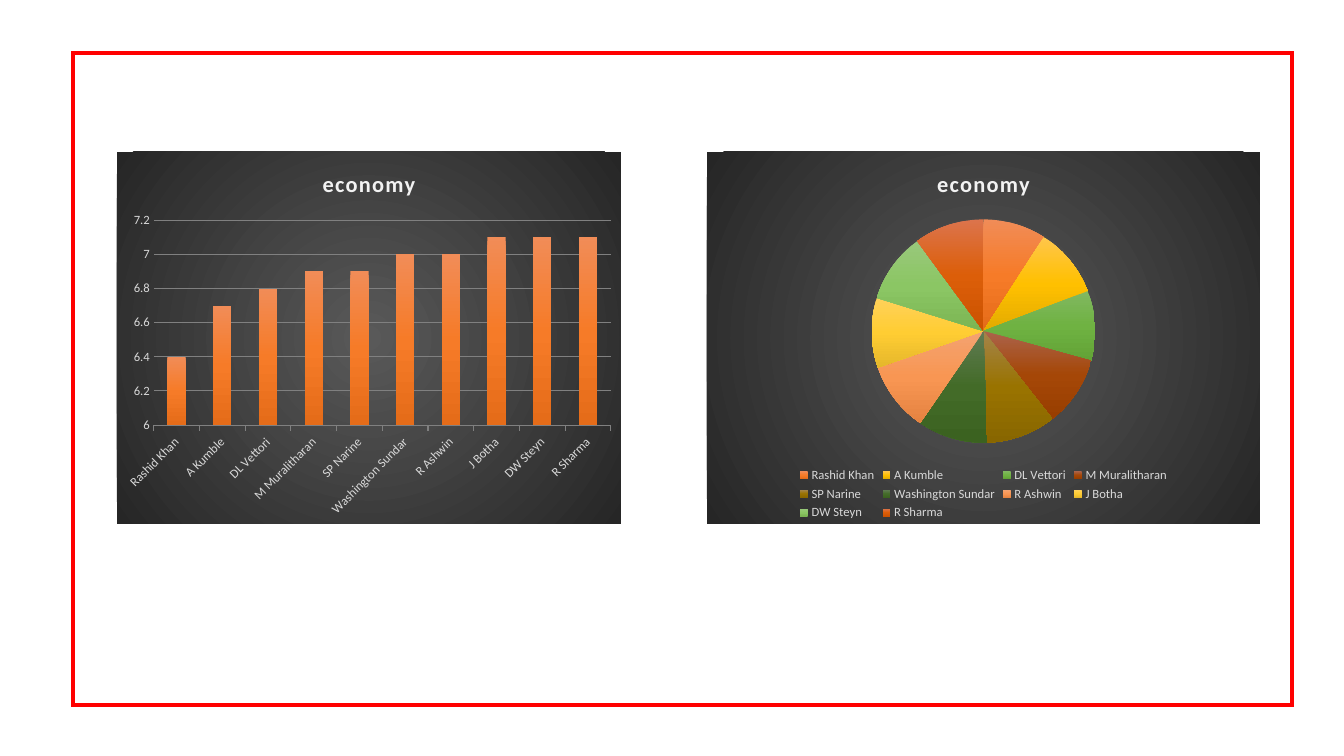
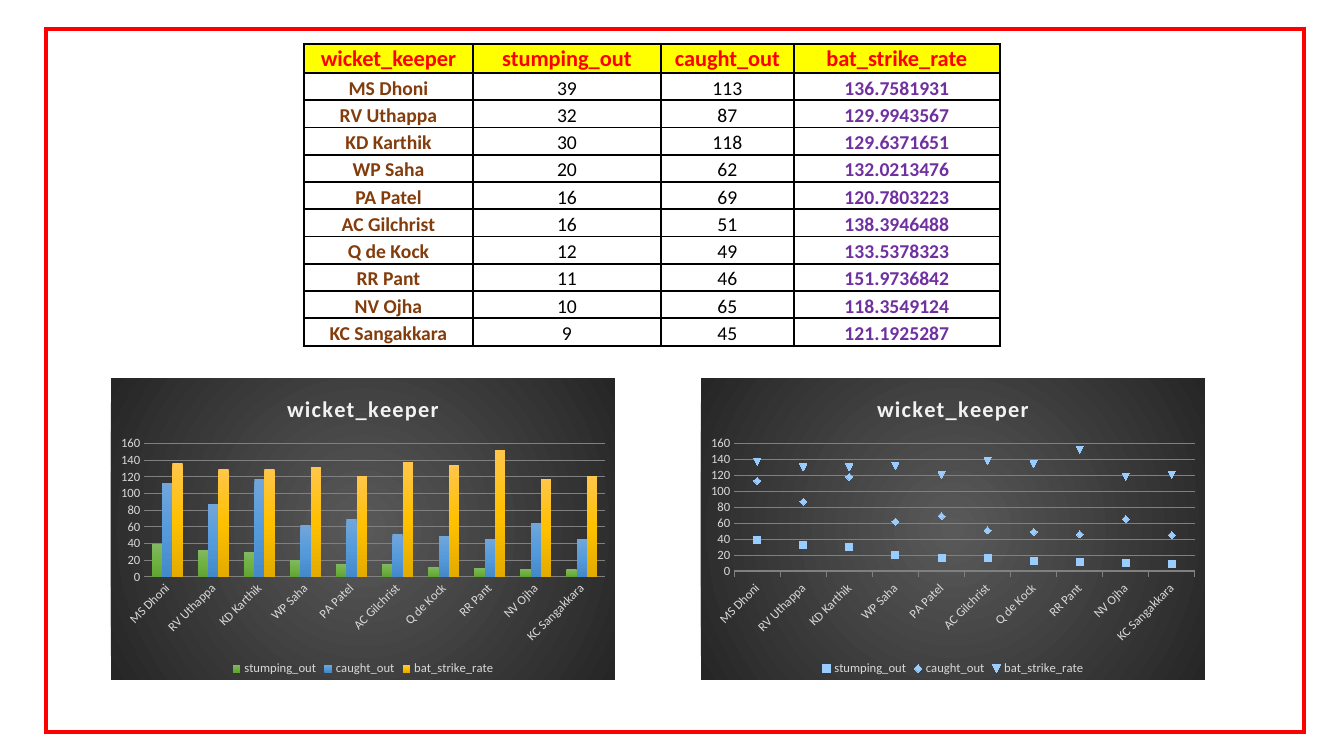
from lxml.etree import SubElement
from pptx import Presentation
from pptx.chart.data import CategoryChartData
from pptx.dml.color import RGBColor
from pptx.enum.chart import XL_CHART_TYPE as ChartType
from pptx.enum.chart import XL_LEGEND_POSITION as LegendPlace
from pptx.enum.chart import XL_MARKER_STYLE as Marker
from pptx.enum.chart import XL_TICK_MARK as Tick
from pptx.enum.shapes import MSO_SHAPE as Shape
from pptx.enum.text import MSO_ANCHOR as Anchor
from pptx.enum.text import PP_ALIGN as Align
from pptx.oxml import parse_xml
from pptx.oxml.ns import nsdecls, qn
from pptx.util import Pt

# Shared look
SCALE = 914400 / 100.8  # EMU in one px
FONT = "Calibri"
COLORS = {
    "frame": "FF0000", "head_fill": "FFFF00", "head_text": "FF0000",
    "name": "833C0C", "number": "000000", "rate": "7030A0", "border": "000000",
    "chart_title": "F2F2F2", "chart_text": "D9D9D9", "grid": "808080",
    "marker": "99CCFF", "glow": "595959", "edge": "262626",
}
# Top, middle and bottom colour of each gradient
GRADIENTS = {
    "orange": ("F18C57", "F67B28", "E56C19"),
    "gold": ("FFC64B", "FFC000", "E3AB00"),
    "green": ("81B861", "6FB242", "62A336"),
    "brown": ("AB634B", "A54707", "983E00"),
    "olive": ("A4844B", "997300", "886600"),
    "forest": ("607B53", "436B28", "3B6220"),
    "peach": ("F4A371", "F89653", "E58341"),
    "yellow": ("FFD15A", "FFCD33", "E5B72B"),
    "lime": ("99C87B", "8BC664", "7BB553"),
    "rust": ("DC744C", "DC5E09", "CB5200"),
    "blue": ("71A6DB", "559BDB", "448ACA"),
}
PIE_COLORS = ["orange", "gold", "green", "brown", "olive",
              "forest", "peach", "yellow", "lime", "rust"]
KEEPER_COLORS = ["green", "blue", "gold"]

# Content
ECONOMY = {
    "Rashid Khan": 6.4, "A Kumble": 6.7, "DL Vettori": 6.8,
    "M Muralitharan": 6.9, "SP Narine": 6.9, "Washington Sundar": 7,
    "R Ashwin": 7, "J Botha": 7.1, "DW Steyn": 7.1, "R Sharma": 7.1,
}
KEEPER_HEAD = ("wicket_keeper", "stumping_out", "caught_out", "bat_strike_rate")
KEEPERS = [
    ("MS Dhoni", 39, 113, 136.7581931),
    ("RV Uthappa", 32, 87, 129.9943567),
    ("KD Karthik", 30, 118, 129.6371651),
    ("WP Saha", 20, 62, 132.0213476),
    ("PA Patel", 16, 69, 120.7803223),
    ("AC Gilchrist", 16, 51, 138.3946488),
    ("Q de Kock", 12, 49, 133.5378323),
    ("RR Pant", 11, 46, 151.9736842),
    ("NV Ojha", 10, 65, 118.3549124),
    ("KC Sangakkara", 9, 45, 121.1925287),
]


def px(length):
    return round(length * SCALE)


def place(*lengths):
    return [px(length) for length in lengths]


def rgb(name):
    return RGBColor.from_string(COLORS[name])


def apply(target, **values):
    for name, value in values.items():
        setattr(target, name, value)


def style_font(font, size, color, bold=False):
    apply(font, name=FONT, size=Pt(size), bold=bold)
    font.color.rgb = rgb(color)


def style_line(line, color, width):
    line.color.rgb = rgb(color)
    line.width = Pt(width)


def gradient(colors, direction):
    """Return a gradFill element with evenly spaced stops."""
    last = len(colors) - 1
    stops = "".join(
        f'<a:gs pos="{100000 * i // last}"><a:srgbClr val="{color}"/></a:gs>'
        for i, color in enumerate(colors))
    return parse_xml(f'<a:gradFill {nsdecls("a")}><a:gsLst>{stops}</a:gsLst>'
                     f'{direction}</a:gradFill>')


def fill_down(part, name):
    """Fill a series or a point with a vertical gradient."""
    part.format.fill.solid()
    properties = part.format.fill._xPr
    properties.replace(properties.find(qn("a:solidFill")),
                       gradient(GRADIENTS[name], '<a:lin ang="5400000" scaled="0"/>'))
    part.format.line.fill.background()


def add_frame(page, *area):
    frame = page.shapes.add_shape(Shape.RECTANGLE, *place(*area))
    frame.shadow.inherit = False
    frame.fill.background()
    style_line(frame.line, "frame", 3)
    # Square corners
    SubElement(frame.line._get_or_add_ln(), qn("a:miter"), lim="800000")


# Charts
def fill_chart_area(chart):
    properties = parse_xml(f'<c:spPr {nsdecls("c", "a")}><a:ln><a:noFill/></a:ln></c:spPr>')
    properties.insert(0, gradient(
        (COLORS["glow"], COLORS["edge"]),
        '<a:path path="circle"><a:fillToRect l="50000" t="50000" r="50000" b="50000"/></a:path>'))
    chart._chartSpace.find(qn("c:txPr")).addprevious(properties)


def add_chart(page, kind, area, title, categories, series, legend=True):
    data = CategoryChartData()
    data.categories = categories
    for name, values in series:
        data.add_series(name, values)
    chart = page.shapes.add_chart(kind, *place(*area), data).chart
    style_font(chart.font, 10, "number")
    fill_chart_area(chart)

    chart.has_title = True
    frame = chart.chart_title.text_frame
    frame.text = title
    span = frame.paragraphs[0].runs[0]
    style_font(span.font, 16, "chart_title", bold=True)
    span.font._element.set("spc", "100")

    chart.has_legend = legend
    if legend:
        apply(chart.legend, position=LegendPlace.BOTTOM, include_in_layout=False)
        style_font(chart.legend.font, 9, "chart_text")
    return chart


def style_axes(chart, low, high, step, base_line=True):
    values, names = chart.value_axis, chart.category_axis
    apply(values, minimum_scale=low, maximum_scale=high, major_unit=step,
          has_major_gridlines=True, major_tick_mark=Tick.NONE)
    style_line(values.major_gridlines.format.line, "grid", 0.75)
    values.format.line.fill.background()
    names.major_tick_mark = Tick.OUTSIDE if base_line else Tick.NONE
    if base_line:
        style_line(names.format.line, "grid", 0.75)
    else:
        names.format.line.fill.background()
    for axis in (values, names):
        style_font(axis.tick_labels.font, 9, "chart_text")
    slant = names._element.find(qn("c:txPr")).find(qn("a:bodyPr"))
    slant.set("rot", "-2700000")
    slant.set("vert", "horz")


def style_columns(chart, colors):
    apply(chart.plots[0], gap_width=150, overlap=0, vary_by_categories=False)
    for series, color in zip(chart.plots[0].series, colors):
        fill_down(series, color)


def style_slices(chart, colors):
    chart.plots[0].vary_by_categories = True
    series = chart.plots[0].series[0]
    for i, color in enumerate(colors):
        fill_down(series.points[i], color)


def style_markers(chart):
    chart.plots[0].vary_by_categories = False
    for series in chart.plots[0].series:
        series.smooth = False
        series.format.line.fill.background()
        apply(series.marker, style=Marker.AUTOMATIC, size=5)
        series.marker.format.fill.solid()
        series.marker.format.fill.fore_color.rgb = rgb("marker")
        series.marker.format.line.fill.background()


# Table
def add_borders(cell):
    properties = cell._tc.get_or_add_tcPr()
    for side in ("lnL", "lnR", "lnT", "lnB"):
        line = SubElement(properties, qn(f"a:{side}"), w=str(Pt(1.5)))
        solid = SubElement(line, qn("a:solidFill"))
        SubElement(solid, qn("a:srgbClr"), val=COLORS["border"])


def fill_cell(cell, text, size, color, bold, fill=None):
    apply(cell, vertical_anchor=Anchor.BOTTOM, margin_left=px(1),
          margin_right=px(1), margin_top=px(1), margin_bottom=0)
    add_borders(cell)
    if fill:
        cell.fill.solid()
        cell.fill.fore_color.rgb = rgb(fill)
    else:
        cell.fill.background()
    para = cell.text_frame.paragraphs[0]
    para.alignment = Align.CENTER
    span = para.add_run()
    span.text = str(text)
    style_font(span.font, size, color, bold)


def add_keeper_table(page):
    widths, height, head_height = (169, 188, 133, 206), 302, 29
    table = page.shapes.add_table(
        len(KEEPERS) + 1, len(widths), *place(304, 44, sum(widths), height)).table
    apply(table, first_row=False, horz_banding=False)
    for column, width in zip(table.columns, widths):
        column.width = px(width)
    for row in table.rows:
        row.height = px((height - head_height) / len(KEEPERS))
    table.rows[0].height = px(head_height)

    for column, text in enumerate(KEEPER_HEAD):
        fill_cell(table.cell(0, column), text, 16, "head_text", True, "head_fill")
    colors = ("name", "number", "number", "rate")
    for row, keeper in enumerate(KEEPERS, 1):
        for column, (text, color) in enumerate(zip(keeper, colors)):
            fill_cell(table.cell(row, column), text, 14, color, color != "number")


# Slides
def build_economy(page):
    add_frame(page, 73, 53, 1219, 652)
    title, names, rates = "economy", list(ECONOMY), list(ECONOMY.values())
    shares = [round(100 * rate / sum(rates)) for rate in rates]
    pie = add_chart(page, ChartType.PIE, (707, 152, 553, 372),
                    title, names, [(title, shares)])
    style_slices(pie, PIE_COLORS)
    columns = add_chart(page, ChartType.COLUMN_CLUSTERED, (117, 152, 504, 372),
                        title, names, [(title, rates)], legend=False)
    style_columns(columns, ["orange"])
    style_axes(columns, 6, 7.2, 0.2)


def build_keepers(page):
    names, *measures = zip(*KEEPERS)
    series = [(name, [round(value) for value in values])
              for name, values in zip(KEEPER_HEAD[1:], measures)]
    content = (KEEPER_HEAD[0], names, series)
    columns = add_chart(page, ChartType.COLUMN_CLUSTERED, (111, 378, 504, 302), *content)
    style_columns(columns, KEEPER_COLORS)
    style_axes(columns, 0, 160, 20, base_line=False)
    add_keeper_table(page)
    markers = add_chart(page, ChartType.LINE_MARKERS, (701, 378, 504, 302), *content)
    style_markers(markers)
    style_axes(markers, 0, 160, 20)
    add_frame(page, 46, 29, 1258, 703)


def main():
    deck = Presentation()
    apply(deck, slide_width=px(1344), slide_height=px(756))
    blank = deck.slide_layouts[6]
    for build in (build_economy, build_keepers):
        build(deck.slides.add_slide(blank))
    deck.save("out.pptx")


if __name__ == "__main__":
    main()
